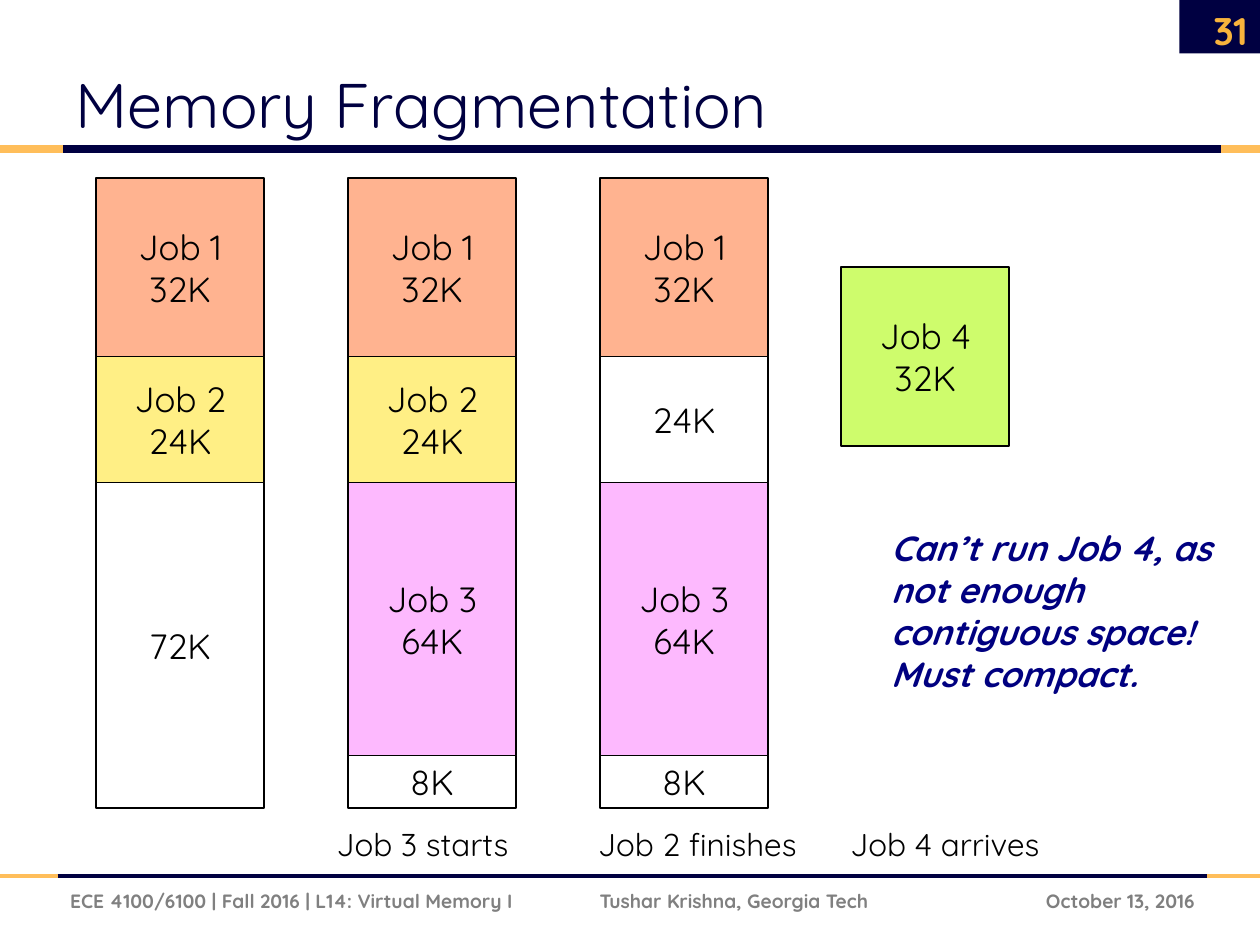
import pptx
import pptx.dml.color
import pptx.enum.shapes
import pptx.enum.text
import pptx.util
from dataclasses import dataclass
from lxml import etree

Pt = pptx.util.Pt
Align = pptx.enum.text.PP_ALIGN
Anchor = pptx.enum.text.MSO_ANCHOR
Fit = pptx.enum.text.MSO_AUTO_SIZE
RECT = pptx.enum.shapes.MSO_SHAPE.RECTANGLE
LINE = pptx.enum.shapes.MSO_CONNECTOR.STRAIGHT
NS = "http://schemas.openxmlformats.org/drawingml/2006/main"

FONT = "Quicksand"
NAVY, GOLD, BLACK, WHITE = "000041", "FFBE5A", "000000", "FFFFFF"
WIDE = 96       # width of a memory bar
SCALE = {8: 30, 24: 72, 32: 102, 64: 156, 72: 186}  # size in K to height
HUES = {"": WHITE, "Job 1": "FFB390", "Job 2": "FFEF85",
        "Job 3": "FDB9FE", "Job 4": "CEFC6C"}


@dataclass
class Block:
    job: str
    size: int


@dataclass
class Bar:
    left: float
    top: float
    blocks: list[Block]


@dataclass
class Note:
    text: str
    left: float
    top: float
    width: float
    height: float
    size: float
    hue: str = BLACK
    align: Align = Align.LEFT
    anchor: Anchor = Anchor.TOP
    bold: bool = False
    slant: bool = False


@dataclass
class Rule:
    y: float
    weight: float
    start: float
    end: float


def shade(code: str) -> pptx.dml.color.RGBColor:
    return pptx.dml.color.RGBColor.from_string(code)


def write(para, text: str, size: float, hue: str, align: Align,
          bold: bool = False, slant: bool = False) -> None:
    para.alignment = align
    run = para.add_run()
    run.text = text
    font = run.font
    font.name, font.size = FONT, Pt(size)
    font.bold, font.italic = bold, slant
    font.color.rgb = shade(hue)


def draw_box(shapes, left: float, top: float, width: float,
             height: float, hue: str):
    box = shapes.add_shape(RECT, Pt(left), Pt(top), Pt(width), Pt(height))
    box.shadow.inherit = False
    box.fill.solid()
    box.fill.fore_color.rgb = shade(hue)
    box.line.fill.background()
    return box


def draw_bar(shapes, bar: Bar) -> None:
    group = shapes.add_group_shape()
    top = bar.top
    for block in bar.blocks:
        tall = SCALE[block.size]
        box = draw_box(group.shapes, bar.left, top, WIDE, tall,
                       HUES[block.job])
        box.line.color.rgb = shade(BLACK)
        box.line.width = Pt(1)
        frame = box.text_frame
        frame.margin_left = frame.margin_right = 0
        frame.margin_top = frame.margin_bottom = 0
        frame.vertical_anchor = Anchor.MIDDLE
        lines = [block.job] if block.job else []
        for i, text in enumerate(lines + [f"{block.size}K"]):
            para = frame.add_paragraph() if i else frame.paragraphs[0]
            write(para, text, 20, BLACK, Align.CENTER)
        top += tall


def draw_note(shapes, note: Note):
    box = shapes.add_textbox(Pt(note.left), Pt(note.top),
                             Pt(note.width), Pt(note.height))
    frame = box.text_frame
    frame.word_wrap = True
    frame.vertical_anchor = note.anchor
    write(frame.paragraphs[0], note.text, note.size, note.hue,
          note.align, note.bold, note.slant)
    return box


def draw_rule(shapes, rule: Rule) -> None:
    stops = [0, rule.start, rule.end, 720]
    for left, right, hue in zip(stops, stops[1:], [GOLD, NAVY, GOLD]):
        line = shapes.add_connector(LINE, Pt(left), Pt(rule.y),
                                    Pt(right), Pt(rule.y))
        line.line.color.rgb = shade(hue)
        line.line.width = Pt(rule.weight)
        etree.SubElement(line._element.spPr, f"{{{NS}}}effectLst")


def add_tab(para, place: float) -> None:
    tabs = etree.SubElement(para._p.get_or_add_pPr(), f"{{{NS}}}tabLst")
    etree.SubElement(tabs, f"{{{NS}}}tab", pos=str(Pt(place)), algn="l")


def main() -> None:
    deck = pptx.Presentation()
    deck.slide_width, deck.slide_height = Pt(720), Pt(540)
    slide = deck.slides.add_slide(deck.slide_layouts[5])
    shapes = slide.shapes

    # Title
    title = shapes.title
    title.left, title.top = Pt(36), Pt(12.25)
    title.width, title.height = Pt(589), Pt(72)
    frame = title.text_frame
    frame.auto_size = Fit.NONE
    frame.vertical_anchor = Anchor.BOTTOM
    write(frame.paragraphs[0], "Memory Fragmentation", 36, NAVY, Align.LEFT)

    # Page frame
    draw_box(shapes, 674, 0, 46, 30.5, NAVY)
    for rule in [Rule(85, 4.5, 36, 698), Rule(500.5, 2.25, 33, 690)]:
        draw_rule(shapes, rule)

    # Page number and footer
    draw_note(shapes, Note("31", 672, 2.5, 48, 29, 22, "F8B33C",
                           Align.RIGHT, Anchor.MIDDLE, True))
    draw_note(shapes, Note("October 13, 2016", 552, 500.5, 138, 29, 11,
                           "7F7F7F", Align.RIGHT, Anchor.MIDDLE, True))
    foot = draw_note(shapes, Note(
        "ECE 4100/6100 | Fall 2016 | L14: Virtual Memory I\t"
        "Tushar Krishna, Georgia Tech",
        33, 500.5, 519, 29, 11, "808080", anchor=Anchor.MIDDLE, bold=True))
    add_tab(foot.text_frame.paragraphs[0], 302.5)

    # Memory over time
    one, two, three = Block("Job 1", 32), Block("Job 2", 24), Block("Job 3", 64)
    states = [[one, two, Block("", 72)],
              [one, two, three, Block("", 8)],
              [one, Block("", 24), three, Block("", 8)]]
    for i, blocks in enumerate(states):
        draw_bar(shapes, Bar(55 + 144 * i, 101.75, blocks))
    draw_bar(shapes, Bar(480.75, 152.75, [Block("Job 4", 32)]))

    # Captions
    for text, left, width in [("Job 3 starts", 169.5, 144),
                              ("Job 2 finishes", 326.5, 144),
                              ("Job 4 arrives", 473, 134)]:
        draw_note(shapes, Note(text, left, 468, width, 29, 18,
                               align=Align.CENTER))

    # Conclusion
    draw_note(shapes, Note(
        "Can’t run Job 4, as not enough contiguous space! Must compact.",
        502, 297.5, 210, 104.5, 20, "000080", bold=True, slant=True))

    deck.save("out.pptx")


if __name__ == "__main__":
    main()
